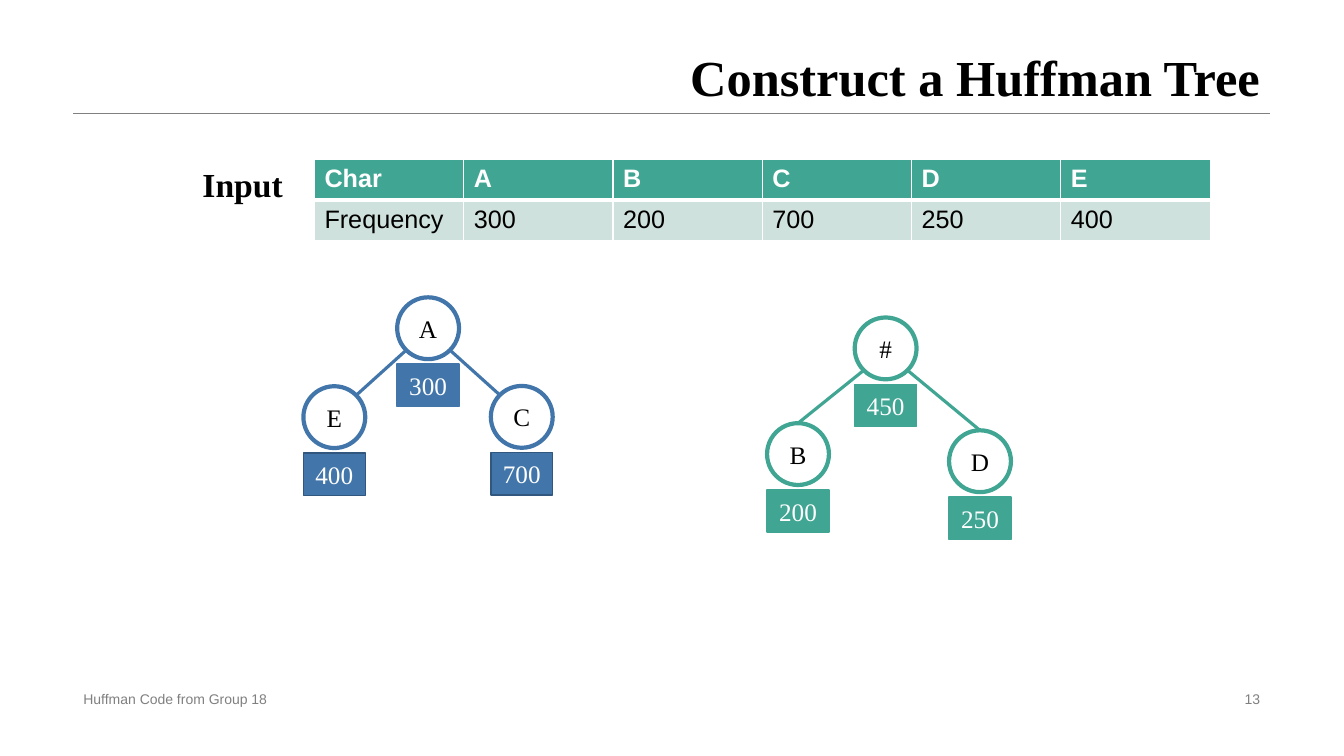
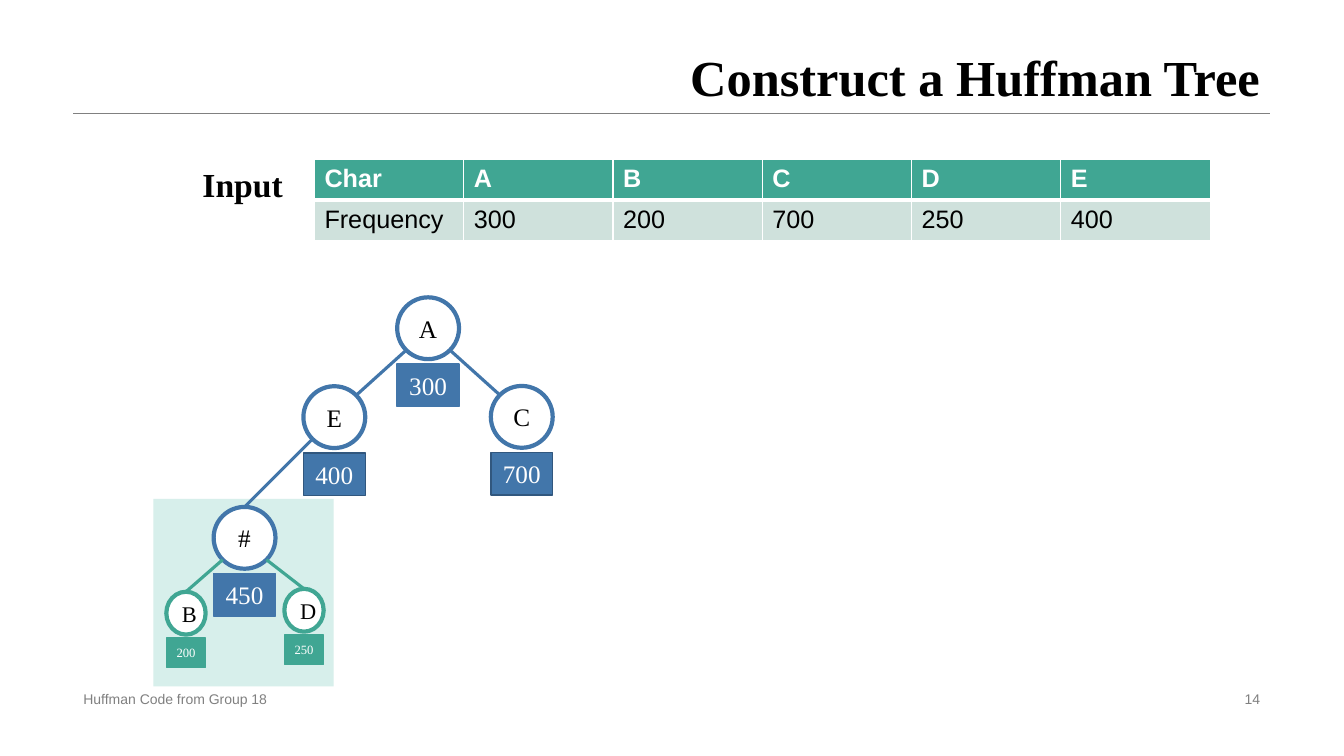
from dataclasses import dataclass
from math import sqrt

from lxml import etree
from pptx import Presentation
from pptx.dml.color import RGBColor
from pptx.enum.shapes import MSO_CONNECTOR, MSO_SHAPE
from pptx.enum.text import MSO_ANCHOR, PP_ALIGN
from pptx.oxml.ns import qn
from pptx.util import Pt

LEFT, CENTER, RIGHT = PP_ALIGN.LEFT, PP_ALIGN.CENTER, PP_ALIGN.RIGHT
TOP, MIDDLE, BOTTOM = MSO_ANCHOR.TOP, MSO_ANCHOR.MIDDLE, MSO_ANCHOR.BOTTOM
OVAL, RECTANGLE = MSO_SHAPE.OVAL, MSO_SHAPE.RECTANGLE
STRAIGHT = MSO_CONNECTOR.STRAIGHT

BLACK = RGBColor(0x00, 0x00, 0x00)
WHITE = RGBColor(0xFF, 0xFF, 0xFF)
GRAY = RGBColor(0x80, 0x80, 0x80)
GREEN = RGBColor(0x40, 0xA6, 0x93)
PALE_GREEN = RGBColor(0xCF, 0xE1, 0xDC)
PANEL_GREEN = RGBColor(0xD7, 0xEF, 0xEB)
BLUE = RGBColor(0x42, 0x76, 0xAA)
DARK_BLUE = RGBColor(0x31, 0x57, 0x7E)

SERIF, SANS = "Times New Roman", "Arial"
MARGIN_LEFT, MARGIN_RIGHT, RULE_Y = 52.5, 907.2, 80.6
CONTENT_WIDTH = MARGIN_RIGHT - MARGIN_LEFT
FREQUENCIES = {"A": 300, "B": 200, "C": 700, "D": 250, "E": 400}

LOWER_LEFT, LOWER_RIGHT = (-1, 1), (1, 1)
UPPER_LEFT, UPPER_RIGHT, UPPER = (-1, -1), (1, -1), (0, -1)


@dataclass(frozen=True)
class NodeSize:
    width: float
    height: float
    letter: float
    number: float

    @property
    def circle_height(self):
        return self.height * 0.567


LARGE = NodeSize(44.2, 77.9, 18, 18)
SMALL = NodeSize(28.1, 54, 16, 9)


@dataclass(frozen=True)
class Node:
    letter: str
    frequency: int
    left: float
    top: float
    color: RGBColor
    border: RGBColor
    size: NodeSize = LARGE

    def site(self, box, direction):
        across, down = direction
        length = sqrt(across ** 2 + down ** 2)
        radius_x, radius_y = self.size.width / 2, self.size.circle_height / 2
        return (box[0] + self.left + radius_x * (1 + across / length),
                box[1] + self.top + radius_y * (1 + down / length))


def points(*values):
    return [Pt(value) for value in values]


def write_text(text_frame, text, *, size, font=SERIF, color=BLACK, bold=False,
               align=LEFT, anchor=TOP, line_spacing=None):
    text_frame.word_wrap = True
    text_frame.vertical_anchor = anchor
    paragraph = text_frame.paragraphs[0]
    paragraph.alignment = align
    paragraph.line_spacing = line_spacing
    run = paragraph.add_run()
    run.text = text
    run.font.size = Pt(size)
    run.font.name = font
    run.font.bold = bold
    run.font.color.rgb = color


def add_text(slide, box, text, **text_format):
    text_box = slide.shapes.add_textbox(*points(*box))
    write_text(text_box.text_frame, text, **text_format)


def add_block(shapes, kind, box, fill, border=None, border_width=1):
    shape = shapes.add_shape(kind, *points(*box))
    shape.shadow.inherit = False
    shape.fill.solid()
    shape.fill.fore_color.rgb = fill
    if border is None:
        shape.line.fill.background()
    else:
        shape.line.color.rgb = border
        shape.line.width = Pt(border_width)
    return shape


def add_line(slide, start, end, color, width):
    line = slide.shapes.add_connector(STRAIGHT, *points(*start, *end))
    line.line.color.rgb = color
    line.line.width = Pt(width)
    etree.SubElement(line.element.spPr, qn("a:effectLst"))
    return line


def set_borders(cell, **widths):
    properties = cell._tc.get_or_add_tcPr()
    for side, width in widths.items():
        border = etree.SubElement(properties, qn(f"a:ln{side}"), w=str(Pt(width)))
        fill = etree.SubElement(border, qn("a:solidFill"))
        etree.SubElement(fill, qn("a:srgbClr"), val=str(WHITE))


def add_input_table(slide, box):
    rows = [["Char", *FREQUENCIES],
            ["Frequency", *map(str, FREQUENCIES.values())]]
    styles = [(GREEN, WHITE, True, 1, 3), (PALE_GREEN, BLACK, False, 3, 1)]
    columns = len(rows[0])
    table = slide.shapes.add_table(len(rows), columns, *points(*box)).table
    for column in table.columns:
        column.width = Pt(box[2] / columns)
    for row_index, (row, style) in enumerate(zip(rows, styles)):
        fill, color, bold, border_top, border_bottom = style
        table.rows[row_index].height = Pt(box[3] / len(rows))
        for column_index, text in enumerate(row):
            cell = table.cell(row_index, column_index)
            set_borders(cell, L=1, R=1, T=border_top, B=border_bottom)
            cell.fill.solid()
            cell.fill.fore_color.rgb = fill
            write_text(cell.text_frame, text, size=18, font=SANS,
                       color=color, bold=bold)


def add_input(slide, box):
    left, top, width, height = box
    label_width = 87.1
    add_text(slide, (left, top, label_width, 36), "Input", size=24, bold=True)
    add_input_table(slide, (left + label_width, top, width - label_width, height))


def add_node(slide, box, node):
    size = node.size
    left, top = box[0] + node.left, box[1] + node.top
    shapes = slide.shapes.add_group_shape().shapes
    circle = add_block(shapes, OVAL, (left, top, size.width, size.circle_height),
                       WHITE, node.color, 3)
    write_text(circle.text_frame, node.letter, size=size.letter,
               align=CENTER, anchor=MIDDLE)
    label = add_block(shapes, RECTANGLE,
                      (left, top + size.height * 0.612,
                       size.width, size.height * 0.388),
                      node.color, node.border)
    write_text(label.text_frame, str(node.frequency), size=size.number,
               color=WHITE, align=CENTER, anchor=MIDDLE)


def add_tree(slide, box, root, children, color, arrivals=(UPPER, UPPER)):
    for node in (*children, root):
        add_node(slide, box, node)
    departures = (LOWER_LEFT, LOWER_RIGHT)
    for child, departure, arrival in zip(children, departures, arrivals):
        add_line(slide, root.site(box, departure), child.site(box, arrival),
                 color, 2.25)


def leaf(letter, left, top, color, border, size=LARGE):
    return Node(letter, FREQUENCIES[letter], left, top, color, border, size)


def joined_node(left, top, color):
    return Node("#", FREQUENCIES["B"] + FREQUENCIES["D"], left, top, color, color)


MAIN_BOX = (216.7, 212.4)
MAIN_ROOT = leaf("A", 67, 0, BLUE, BLUE)
MAIN_CHILDREN = [leaf("E", 0, 63.5, BLUE, DARK_BLUE),
                 leaf("C", 133.9, 63.3, BLUE, DARK_BLUE)]


def add_main_tree(slide):
    add_tree(slide, MAIN_BOX, MAIN_ROOT, MAIN_CHILDREN, BLUE,
             arrivals=(UPPER_RIGHT, UPPER_LEFT))


def add_separate_tree(slide, box):
    children = [leaf("B", 0, 75.5, GREEN, GREEN),
                leaf("D", 130, 80.6, GREEN, GREEN)]
    add_tree(slide, box, joined_node(62.6, 0, GREEN), children, GREEN)


def add_attached_tree(slide, box):
    add_block(slide.shapes, RECTANGLE, box, PANEL_GREEN)
    root = joined_node(43.1, 5.7, BLUE)
    children = [leaf("B", 9.3, 66.3, GREEN, GREEN, SMALL),
                leaf("D", 93.6, 64.2, GREEN, GREEN, SMALL)]
    add_tree(slide, box, root, children, GREEN)
    parent = MAIN_CHILDREN[0]
    add_line(slide, parent.site(MAIN_BOX, LOWER_LEFT), root.site(box, UPPER),
             BLUE, 2.25)


def add_footer(slide, box, number):
    left, top, width, height = box
    number_width = 229
    footer_format = dict(size=10, font=SANS, color=GRAY, anchor=MIDDLE)
    add_text(slide, (left, top, 326, height), "Huffman Code from Group 18",
             **footer_format)
    add_text(slide, (left + width - number_width, top, number_width, height),
             str(number), align=RIGHT, **footer_format)


def prepare_layout(layout):
    title = layout.placeholders[0]
    title.left, title.top, title.width, title.height = points(
        MARGIN_LEFT, 0, CONTENT_WIDTH, RULE_Y)


def add_layout_rule(slide):
    rule = add_line(slide, (MARGIN_LEFT, RULE_Y), (MARGIN_RIGHT, RULE_Y), GRAY, 0.25)
    slide.slide_layout.shapes.element.append(rule.element)


def add_huffman_slide(presentation, layout, number):
    slide = presentation.slides.add_slide(layout)
    write_text(slide.shapes.title.text_frame, "Construct a Huffman Tree", size=36,
               bold=True, align=RIGHT, anchor=BOTTOM, line_spacing=0.9)
    add_footer(slide, (MARGIN_LEFT, 491, CONTENT_WIDTH, 16.6), number)
    add_input(slide, (137.5, 113.8, 727.1, 58.4))
    add_main_tree(slide)
    return slide


def main():
    presentation = Presentation()
    presentation.slide_width, presentation.slide_height = points(960, 540)
    layout = presentation.slide_layouts[5]
    prepare_layout(layout)

    separate_slide = add_huffman_slide(presentation, layout, 13)
    add_layout_rule(separate_slide)
    add_separate_tree(separate_slide, (547.9, 226.8))

    attached_slide = add_huffman_slide(presentation, layout, 14)
    add_attached_tree(attached_slide, (109.5, 356.4, 128.9, 133.9))

    presentation.save("out.pptx")


if __name__ == "__main__":
    main()
